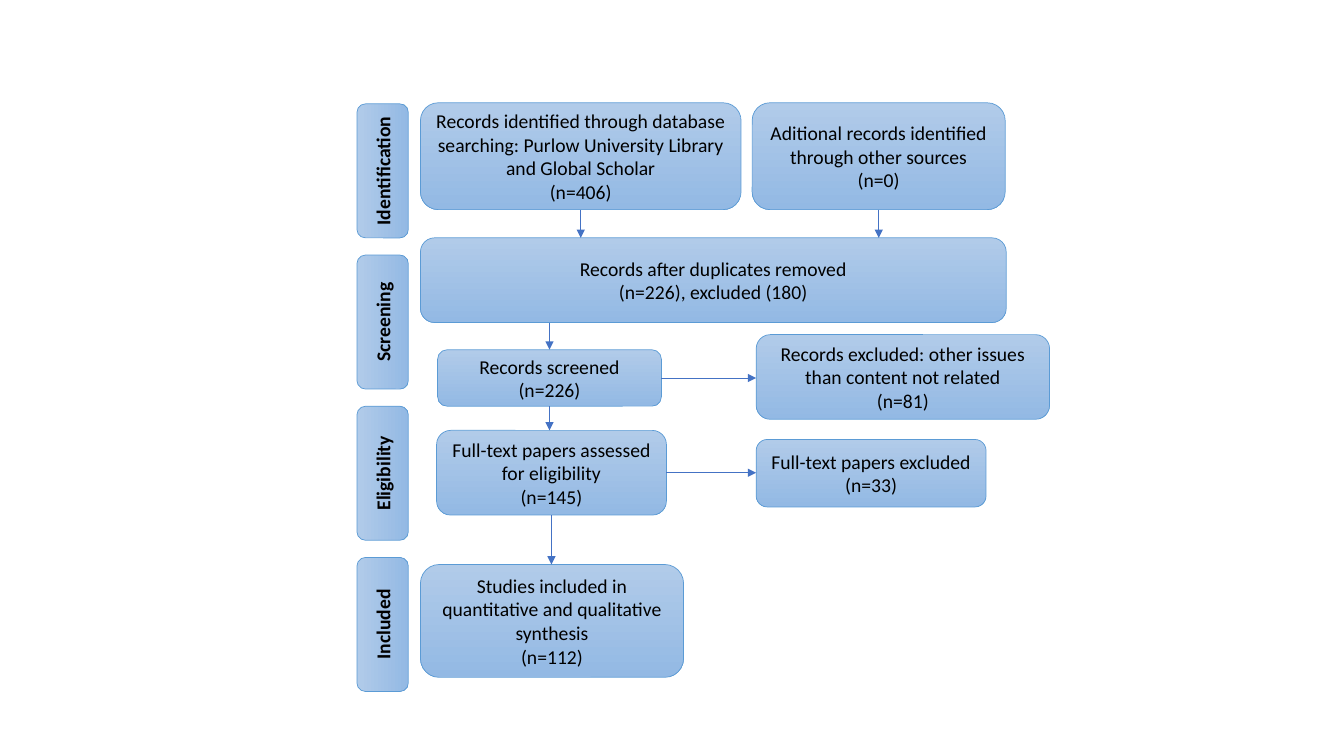
from dataclasses import dataclass

from lxml import etree
from pptx import Presentation
from pptx import util as u
from pptx.dml import color
from pptx.enum import shapes, text
from pptx.oxml import ns


@dataclass(frozen=True)
class Theme:
    """Colours, font and sizes of the slide."""
    light: str = "B1CBE9"
    dark: str = "93B9E4"
    edge: str = "5B9BD5"
    arrow: str = "4472C4"
    ink: str = "000000"
    font: str = "Calibri"
    size: int = 14
    line: float = 0.5


def rgb(code):
    """Turn a hex code into a colour."""
    return color.RGBColor.from_string(code)


def write(shape, lines, theme, bold=False, align=text.PP_ALIGN.CENTER):
    """Put one paragraph per line into the shape."""
    frame = shape.text_frame
    frame.word_wrap = True
    frame.vertical_anchor = text.MSO_ANCHOR.MIDDLE
    frame.text = "\n".join(lines)
    for para in frame.paragraphs:
        para.alignment = align
        font = para.font
        font.name, font.size, font.bold = theme.font, u.Pt(theme.size), bold
        font.color.rgb = rgb(theme.ink)


class Chart:
    """Draws the parts of a flow chart on one slide."""

    def __init__(self, slide, theme):
        """Keep the slide and its style."""
        self.slide, self.theme = slide, theme

    def box(self, left, top, width, height, *lines, bold=False, turn=0):
        """Add a rounded box with a soft gradient."""
        shape = self.slide.shapes.add_shape(
            shapes.MSO_SHAPE.ROUNDED_RECTANGLE,
            *map(u.Inches, (left, top, width, height)))
        shape.shadow.inherit = False
        shape.rotation = turn
        fill = shape.fill
        fill.gradient()
        fill.gradient_angle = 270
        for stop, code in zip(fill.gradient_stops,
                              (self.theme.light, self.theme.dark)):
            stop.color.rgb = rgb(code)
        shape.line.color.rgb = rgb(self.theme.edge)
        shape.line.width = u.Pt(self.theme.line)
        write(shape, lines, self.theme, bold=bold)
        return shape

    def tab(self, left, top, width, height, label):
        """Add a stage label that reads upwards in the given area."""
        shift = (height - width) / 2
        return self.box(left - shift, top + shift, height, width, label,
                        bold=True, turn=270)

    def link(self, start, end):
        """Add an arrow between two points."""
        line = self.slide.shapes.add_connector(
            shapes.MSO_CONNECTOR.STRAIGHT, *start, *end)
        line.line.color.rgb = rgb(self.theme.arrow)
        line.line.width = u.Pt(self.theme.line)
        etree.SubElement(line.line._get_or_add_ln(), ns.qn("a:tailEnd"),
                         type="triangle")
        etree.SubElement(line._element.spPr, ns.qn("a:effectLst"))
        return line

    def down(self, upper, lower):
        """Link two boxes downwards, centred on the narrower one."""
        slim = min(upper, lower, key=lambda box: box.width)
        x = slim.left + slim.width // 2
        line = self.link((x, upper.top + upper.height), (x, lower.top))
        if slim is upper:
            line.begin_connect(upper, 2)
        else:
            line.end_connect(lower, 0)

    def across(self, left, right):
        """Link two boxes from left to right at the middle of the first."""
        y = left.top + left.height // 2
        line = self.link((left.left + left.width, y), (right.left, y))
        line.begin_connect(left, 3)


deck = Presentation()
deck.slide_width, deck.slide_height = u.Inches(13.33), u.Inches(7.5)
chart = Chart(deck.slides.add_slide(deck.slide_layouts[6]), Theme())

STAGES = ("Identification", "Screening", "Eligibility", "Included")
for row, stage in enumerate(STAGES):
    chart.tab(3.54, 1.03 + 1.5 * row, 0.51, 1.33, stage)

MAIN, SIDE = 4.17, 7.5
found = chart.box(
    MAIN, 1.02, 3.18, 1.06,
    "Records identified through database searching: "
    "Purlow University Library and Global Scholar", "(n=406)")
other = chart.box(
    7.46, 1.02, 2.51, 1.06,
    "Aditional records identified through other sources", "(n=0)")
unique = chart.box(
    MAIN, 2.36, 5.81, 0.84,
    "Records after duplicates removed", "(n=226), excluded (180)")
screen = chart.box(4.34, 3.47, 2.22, 0.56, "Records screened", "(n=226)")
dropped = chart.box(
    SIDE, 3.32, 2.91, 0.84,
    "Records excluded: other issues than content not related", "(n=81)")
papers = chart.box(
    4.33, 4.27, 2.28, 0.84,
    "Full-text papers assessed for eligibility", "(n=145)")
barred = chart.box(
    SIDE, 4.36, 2.28, 0.67, "Full-text papers excluded", "(n=33)")
final = chart.box(
    MAIN, 5.6, 2.61, 1.12,
    "Studies included in quantitative and qualitative synthesis", "(n=112)")

for upper, lower in ((found, unique), (other, unique), (unique, screen),
                     (screen, papers), (papers, final)):
    chart.down(upper, lower)
for left, right in ((screen, dropped), (papers, barred)):
    chart.across(left, right)

deck.save("out.pptx")
